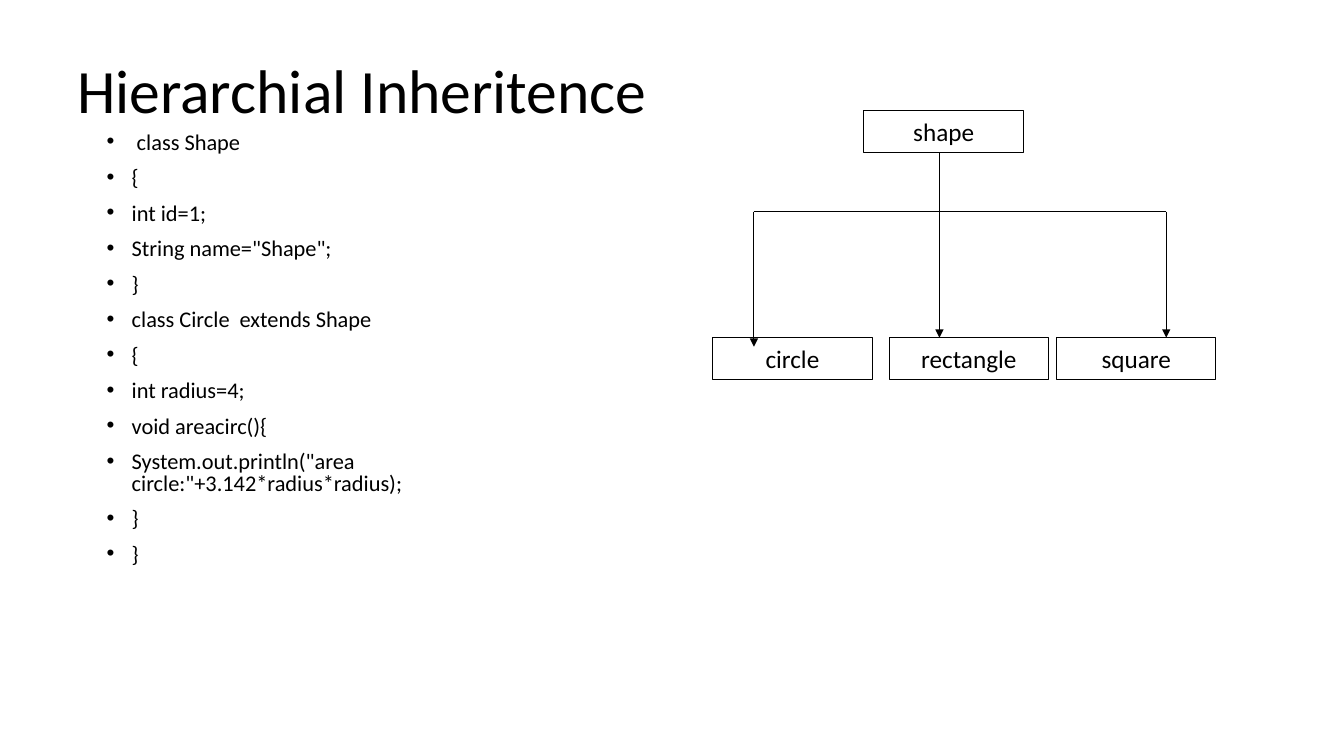
from dataclasses import dataclass

from lxml import etree
from pptx import Presentation
from pptx import util as u
from pptx.dml.color import RGBColor
from pptx.enum import shapes, text
from pptx.oxml import ns

COLS, ROWS = 160, 90
SLIDE_W, SLIDE_H = u.Inches(13.33), u.Inches(7.5)


@dataclass(frozen=True)
class Theme:
    font: str = "Calibri"
    ink: RGBColor = RGBColor(0, 0, 0)
    title: int = 44
    code: int = 16
    node: int = 18
    line: float = 0.75


THEME = Theme()

CODE = [
    " class Shape",
    "{",
    "int id=1;",
    'String name="Shape";',
    "}",
    "class Circle  extends Shape",
    "{",
    "int radius=4;",
    "void areacirc(){",
    'System.out.println("area circle:"+3.142*radius*radius);',
    "}",
    "}",
]

NODE_W, NODE_H = 19, 4.95
PARENT_COL, PARENT_ROW = 102.84, 13.2
CHILD_ROW = 40.2
CHILDREN = {"circle": 84.84, "rectangle": 105.84, "square": 125.76}
BAR_ROW = 25.2
LEFT_COL, MID_COL, RIGHT_COL = 89.76, 111.84, 138.84


def col(n):
    return round(SLIDE_W * n / COLS)


def row(n):
    return round(SLIDE_H * n / ROWS)


def add_run(p, content, size):
    r = p.add_run()
    r.text = content
    r.font.name = THEME.font
    r.font.size = u.Pt(size)
    r.font.color.rgb = THEME.ink


def add_text(s, left, top, width, height, anchor):
    sp = s.shapes.add_textbox(col(left), row(top), col(width), row(height))
    tf = sp.text_frame
    tf.word_wrap = True
    tf.vertical_anchor = anchor
    return tf


def add_title(s, content):
    tf = add_text(s, 8, 3.6, 144, 15, text.MSO_ANCHOR.MIDDLE)
    p = tf.paragraphs[0]
    p.line_spacing = 0.9
    add_run(p, content, THEME.title)


def add_bullet(p):
    pPr = p._p.get_or_add_pPr()
    pPr.set("marL", str(u.Inches(0.25)))
    pPr.set("indent", str(u.Inches(-0.25)))
    etree.SubElement(pPr, ns.qn("a:buFont"), typeface="Arial")
    etree.SubElement(pPr, ns.qn("a:buChar"), char="•")


def add_code(s, lines):
    tf = add_text(s, 11.5, 15.24, 53, 66.5, text.MSO_ANCHOR.TOP)
    for i, content in enumerate(lines):
        p = tf.add_paragraph() if i else tf.paragraphs[0]
        p.line_spacing = 0.8
        p.space_before = u.Pt(10)
        add_bullet(p)
        add_run(p, content, THEME.code)


def add_node(s, label, left, top):
    sp = s.shapes.add_shape(shapes.MSO_SHAPE.RECTANGLE,
                            col(left), row(top), col(NODE_W), row(NODE_H))
    sp.shadow.inherit = False
    sp.fill.background()
    sp.line.color.rgb = THEME.ink
    sp.line.width = u.Pt(THEME.line)
    tf = sp.text_frame
    tf.word_wrap = True
    tf.vertical_anchor = text.MSO_ANCHOR.MIDDLE
    p = tf.paragraphs[0]
    p.alignment = text.PP_ALIGN.CENTER
    add_run(p, label, THEME.node)


def add_line(s, x1, y1, x2, y2, arrow=False):
    cxn = s.shapes.add_connector(shapes.MSO_CONNECTOR.STRAIGHT,
                                 col(x1), row(y1), col(x2), row(y2))
    cxn.line.color.rgb = THEME.ink
    cxn.line.width = u.Pt(THEME.line)
    if arrow:
        etree.SubElement(cxn.line._get_or_add_ln(), ns.qn("a:tailEnd"), type="triangle")
    etree.SubElement(cxn._element.spPr, ns.qn("a:effectLst"))


def add_hierarchy(s):
    add_node(s, "shape", PARENT_COL, PARENT_ROW)
    for label, left in CHILDREN.items():
        add_node(s, label, left, CHILD_ROW)
    add_line(s, LEFT_COL, BAR_ROW, RIGHT_COL, BAR_ROW)
    for x, top, bottom in [
        (LEFT_COL, BAR_ROW, CHILD_ROW + 1.08),
        (MID_COL, PARENT_ROW + NODE_H, CHILD_ROW),
        (RIGHT_COL, BAR_ROW, CHILD_ROW),
    ]:
        add_line(s, x, top, x, bottom, arrow=True)


def main():
    prs = Presentation()
    prs.slide_width, prs.slide_height = SLIDE_W, SLIDE_H
    s = prs.slides.add_slide(prs.slide_layouts[6])
    add_title(s, "Hierarchial Inheritence")
    add_code(s, CODE)
    add_hierarchy(s)
    prs.save("out.pptx")


if __name__ == "__main__":
    main()
